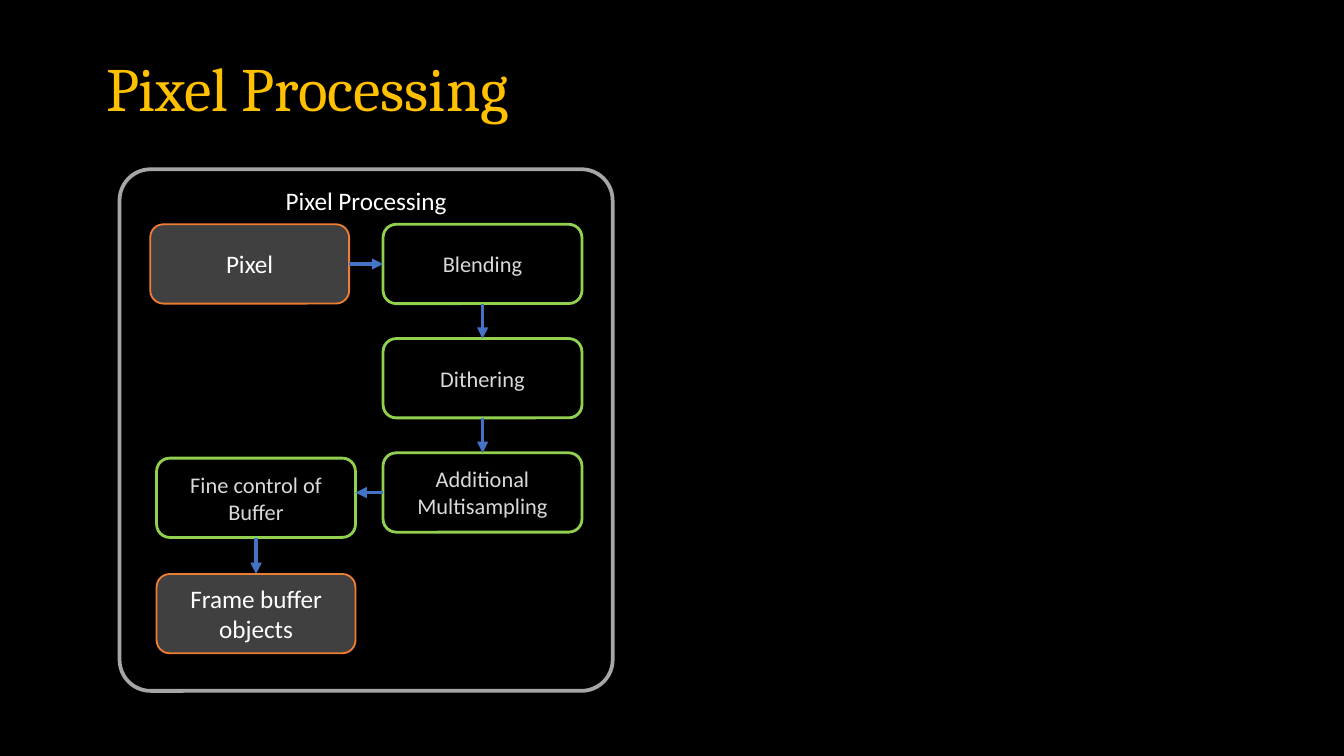
import pptx
import pptx.dml.color
import pptx.enum.shapes
import pptx.enum.text
import pptx.oxml.ns
import pptx.util
from lxml import etree

Cm = pptx.util.Cm
Pt = pptx.util.Pt
RGBColor = pptx.dml.color.RGBColor
MIDDLE = pptx.enum.text.MSO_ANCHOR.MIDDLE
TOP = pptx.enum.text.MSO_ANCHOR.TOP
CENTER = pptx.enum.text.PP_ALIGN.CENTER

BLACK = RGBColor(0x00, 0x00, 0x00)
WHITE = RGBColor(0xFF, 0xFF, 0xFF)
GOLD = RGBColor(0xFF, 0xC0, 0x00)
SILVER = RGBColor(0xA6, 0xA6, 0xA6)
PALE_GRAY = RGBColor(0xD9, 0xD9, 0xD9)
DARK_GRAY = RGBColor(0x40, 0x40, 0x40)
GREEN = RGBColor(0x92, 0xD0, 0x50)
ORANGE = RGBColor(0xED, 0x7D, 0x31)
BLUE = RGBColor(0x44, 0x72, 0xC4)

# Node styles: fill, line colour, line width, text size, text colour
STAGE = (BLACK, GREEN, 1.5, 12, PALE_GRAY)
DATA = (DARK_GRAY, ORANGE, 1, 13.5, WHITE)
PANEL = (None, SILVER, 2, 13.5, WHITE)

NODE_WIDTH, NODE_HEIGHT = 3.76, 1.5
ROW_STEP = 2.16


def add_run(paragraph, text, font_name, size, color):
    run = paragraph.add_run()
    run.text = text
    run.font.name = font_name
    run.font.size = Pt(size)
    run.font.color.rgb = color


def add_rounded_box(slide, box, text, style, anchor=MIDDLE):
    fill, line_color, line_width, size, text_color = style
    shape = slide.shapes.add_shape(
        pptx.enum.shapes.MSO_SHAPE.ROUNDED_RECTANGLE, *map(Cm, box))
    shape.shadow.inherit = False
    if fill is None:
        shape.fill.background()
    else:
        shape.fill.solid()
        shape.fill.fore_color.rgb = fill
    shape.line.color.rgb = line_color
    shape.line.width = Pt(line_width)
    shape.text_frame.word_wrap = True
    shape.text_frame.vertical_anchor = anchor
    paragraph = shape.text_frame.paragraphs[0]
    paragraph.alignment = CENTER
    add_run(paragraph, text, "Calibri", size, text_color)
    return shape


def add_arrow(slide, start, end):
    connector = slide.shapes.add_connector(
        pptx.enum.shapes.MSO_CONNECTOR.STRAIGHT, *start, *end)
    connector.line.color.rgb = BLUE
    connector.line.width = Pt(2)
    qn = pptx.oxml.ns.qn
    etree.SubElement(connector.line._get_or_add_ln(), qn("a:tailEnd"), type="triangle")
    etree.SubElement(connector._element.spPr, qn("a:effectLst"))


def add_down_arrow(slide, upper, lower):
    x = upper.left + upper.width // 2
    add_arrow(slide, (x, upper.top + upper.height), (x, lower.top))


def add_title(slide, box):
    title = slide.shapes.title
    title.left, title.top, title.width, title.height = map(Cm, box)
    frame = title.text_frame
    frame.auto_size = pptx.enum.text.MSO_AUTO_SIZE.NONE
    frame.word_wrap = True
    frame.vertical_anchor = MIDDLE
    paragraph = frame.paragraphs[0]
    paragraph.alignment = pptx.enum.text.PP_ALIGN.LEFT
    paragraph.line_spacing = 0.9
    add_run(paragraph, "Pixel Processing", "Cambria", 33, GOLD)


def add_pipeline(slide, box):
    left, top, width, height = box

    # Outer panel with its heading
    panel = add_rounded_box(slide, box, "Pixel Processing", PANEL, TOP)
    panel.adjustments[0] = 0.063

    def add_node(x, y, text, style):
        node_box = (left + x, top + y, NODE_WIDTH, NODE_HEIGHT)
        return add_rounded_box(slide, node_box, text, style)

    # Right column of stages
    first_row = 1.04
    right_column = width - NODE_WIDTH - 0.58
    blending, dithering, multisampling = [
        add_node(right_column, first_row + row * ROW_STEP, text, STAGE)
        for row, text in enumerate(("Blending", "Dithering", "Additional Multisampling"))]

    # Left column: input, last stage and output
    pixel = add_node(0.58, first_row, "Pixel", DATA)
    buffer_control = add_node(0.7, 5.46, "Fine control of Buffer", STAGE)
    frame_buffer = add_node(0.7, 7.65, "Frame buffer objects", DATA)

    # Flow arrows
    y = pixel.top + pixel.height // 2
    add_arrow(slide, (pixel.left + pixel.width, y), (blending.left, y))
    add_down_arrow(slide, blending, dithering)
    add_down_arrow(slide, dithering, multisampling)
    y = multisampling.top + multisampling.height // 2
    add_arrow(slide, (multisampling.left, y),
              (buffer_control.left + buffer_control.width, y))
    add_down_arrow(slide, buffer_control, frame_buffer)


def main():
    presentation = pptx.Presentation()
    presentation.slide_width = Cm(25.4)
    presentation.slide_height = Cm(14.29)
    slide = presentation.slides.add_slide(presentation.slide_layouts[5])
    slide.background.fill.solid()
    slide.background.fill.fore_color.rgb = BLACK
    add_title(slide, (1.75, 0.76, 21.9, 1.93))
    add_pipeline(slide, (2.26, 3.2, 9.32, 9.86))
    presentation.save("out.pptx")


if __name__ == "__main__":
    main()
